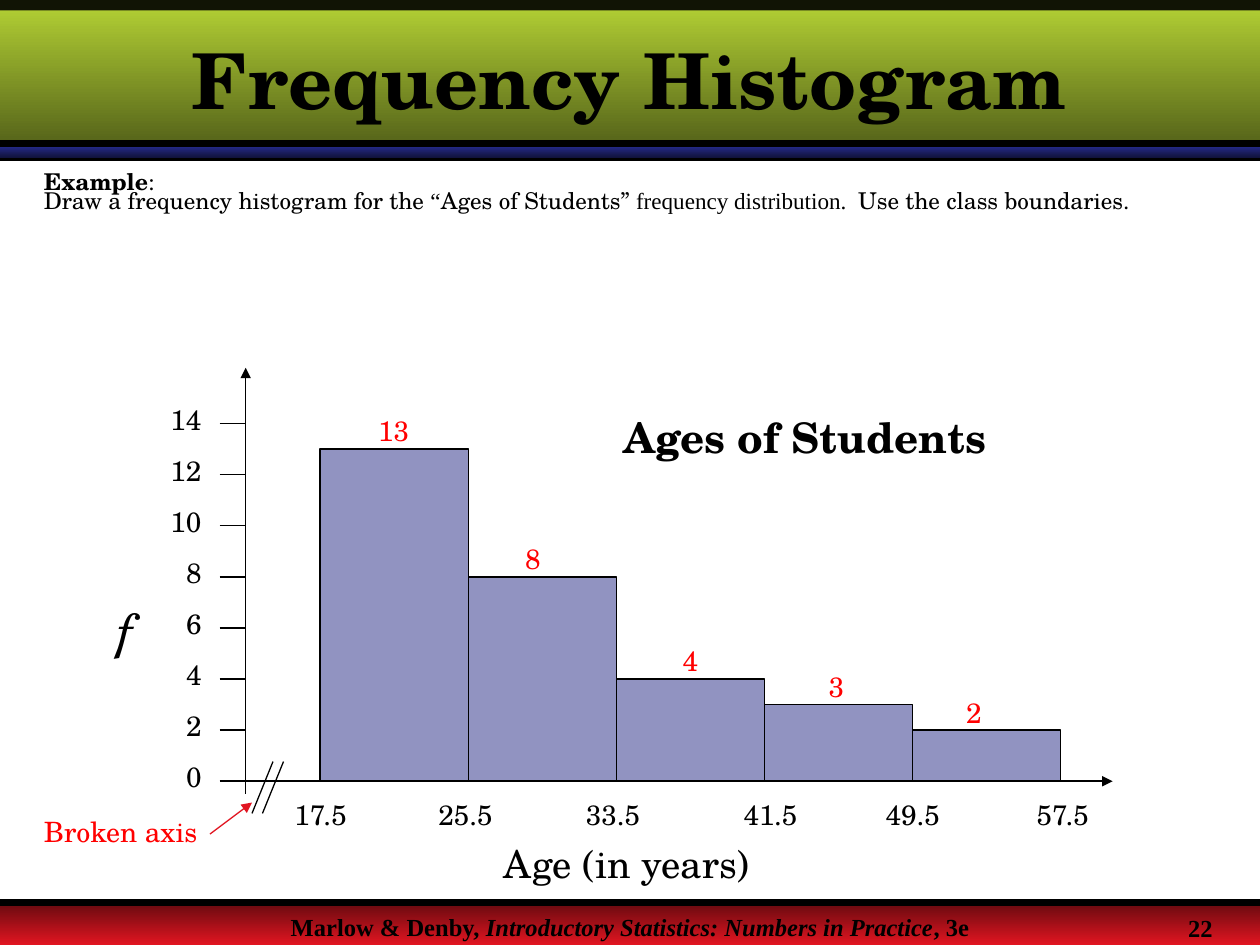
import pptx
import pptx.util
import pptx.dml.color
import pptx.enum.shapes
import pptx.enum.text
import pptx.oxml.ns
import lxml.etree

Pt = pptx.util.Pt
qn = pptx.oxml.ns.qn
ALIGN = pptx.enum.text.PP_ALIGN
ANCHOR = pptx.enum.text.MSO_ANCHOR

SERIF = "TeX Gyre Schola"
TIMES = "Times New Roman"
HUES = {
    "black": "000000",
    "red": "FF0000",
    "arrow": "E11521",
    "bar": "242985",
    "green": ("B5D335", "546219"),
    "navy": ("242985", "11133E"),
    "foot": ("680A0F", "E11521"),
}

# Plot geometry: zero line, height of one count, first bar edge, bar width
BASE, UNIT = 446.4, 14.6
LEFT, STEP = 183, 84.6
AXIS = 140.4
# Frequency and centre of its label, one pair per class
BARS = [(13, 225), (8, 304.5), (4, 394.5), (3, 478), (2, 556.5)]
# Class boundary and centre of its label
BOUNDS = [("17.5", 183.2), ("25.5", 266), ("33.5", 350.3),
          ("41.5", 440.3), ("49.5", 521.6), ("57.5", 607.3)]


def rgb(code):
    return pptx.dml.color.RGBColor.from_string(code)


def add_text(slide, text, x, y, w, h, size=16, font=SERIF, color="black",
             bold=False, italic=False, align=ALIGN.LEFT, anchor=ANCHOR.TOP,
             inset=(7.2, 3.6), wrap=True, lead=None):
    """Text is a string, or paragraphs of (string, changes) runs."""
    box = slide.shapes.add_textbox(Pt(x), Pt(y), Pt(w), Pt(h))
    frame = box.text_frame
    frame.word_wrap = wrap
    frame.vertical_anchor = anchor
    frame.margin_left = frame.margin_right = Pt(inset[0])
    frame.margin_top = frame.margin_bottom = Pt(inset[1])
    paras = [[(text, {})]] if isinstance(text, str) else text
    for num, runs in enumerate(paras):
        para = frame.add_paragraph() if num else frame.paragraphs[0]
        para.alignment = align
        if lead:
            para.line_spacing = lead
        for words, diff in runs:
            run = para.add_run()
            run.text = words
            run.font.size = Pt(size)
            run.font.name = diff.get("font", font)
            run.font.bold = diff.get("bold", bold)
            run.font.italic = diff.get("italic", italic)
            run.font.color.rgb = rgb(HUES[color])
    return box


def add_label(slide, text, mid, y, **style):
    """Plain number centred on mid."""
    dots = text.count(".")
    wide = 8.9 * (len(text) - dots) + 4.4 * dots
    add_text(slide, text, mid - wide / 2, y, wide, 19.4, inset=(0, 0),
             wrap=False, align=ALIGN.CENTER, **style)


def add_rect(slide, x, y, w, h, hue, alpha=None, edge=None):
    kind = pptx.enum.shapes.MSO_SHAPE.RECTANGLE
    rect = slide.shapes.add_shape(kind, Pt(x), Pt(y), Pt(w), Pt(h))
    rect.shadow.inherit = False
    tone = HUES[hue]
    if isinstance(tone, tuple):
        rect.fill.gradient()
        rect.fill.gradient_angle = 270
        for stop, code in zip(rect.fill.gradient_stops, tone):
            stop.color.rgb = rgb(code)
    else:
        rect.fill.solid()
        rect.fill.fore_color.rgb = rgb(tone)
    if alpha:
        node = rect.fill._xPr.find(".//" + qn("a:srgbClr"))
        lxml.etree.SubElement(node, qn("a:alpha"), val=str(alpha * 1000))
    if edge:
        rect.line.color.rgb = rgb(HUES["black"])
        rect.line.width = Pt(edge)
    else:
        rect.line.fill.background()


def add_line(slide, x1, y1, x2, y2, width=0.88, color="black", arrow=False):
    kind = pptx.enum.shapes.MSO_CONNECTOR.STRAIGHT
    line = slide.shapes.add_connector(kind, Pt(x1), Pt(y1), Pt(x2), Pt(y2))
    line.line.color.rgb = rgb(HUES[color])
    line.line.width = Pt(width)
    if arrow:
        lxml.etree.SubElement(line.line._get_or_add_ln(), qn("a:tailEnd"),
                              type="triangle")
    lxml.etree.SubElement(line._element.spPr, qn("a:effectLst"))


def draw_frame(slide):
    # Footer band, title band and the rules between them
    add_rect(slide, 0, 516, 720, 24, "foot")
    add_line(slide, 0, 90, 720, 90, width=4)
    add_text(slide, [[("Marlow & Denby, ", {}),
                      ("Introductory Statistics: Numbers in Practice",
                       {"italic": True}),
                      (", 3e", {})]],
             0, 517.5, 720, 14.4, size=14, font=TIMES, bold=True,
             align=ALIGN.CENTER)
    add_rect(slide, 0, 84, 720, 6, "navy")
    add_rect(slide, 0, 0, 720, 84, "green")
    add_line(slide, 0, 516, 720, 516, width=4)
    add_rect(slide, 0, 0, 720, 6, "black", alpha=90)
    add_line(slide, 0, 82, 720, 82, width=4)
    add_text(slide, "22", 671.8, 518.4, 45, 21.6, size=14, font=TIMES,
             bold=True)


def draw_head(slide):
    add_text(slide, "Frequency Histogram", 0, 6, 720, 78, size=44, bold=True,
             align=ALIGN.CENTER, anchor=ANCHOR.MIDDLE)
    times = {"font": TIMES}
    add_text(slide, [[("Example", {"bold": True}), (":", {})],
                     [("Draw a frequency histogram for the ", {}),
                      ("“", times), ("Ages of Students” ", {}),
                      ("frequency distribution.  ", times),
                      ("Use the class boundaries.", {})]],
             18, 96.5, 684, 36, size=13.2, lead=0.7)


def draw_bars(slide):
    for num, (count, mid) in enumerate(BARS):
        tall = count * UNIT
        add_rect(slide, LEFT + num * STEP, BASE - tall, STEP, tall, "bar",
                 alpha=50, edge=0.88)
        add_label(slide, str(count), mid, BASE - tall - 20, color="red")


def draw_axes(slide):
    # Vertical scale
    for count in range(0, 15, 2):
        y = BASE - count * UNIT
        text = str(count)
        add_label(slide, text, 115.2 - 4.45 * len(text), y - 12.2)
        add_line(slide, 125.5, y, AXIS, y)
    add_line(slide, AXIS, 453.6, AXIS, 210.2, arrow=True)
    add_text(slide, "f", 59.8, 339.8, 36, 41, size=28, italic=True)
    # Horizontal scale
    add_line(slide, 135.4, BASE, 635.8, BASE, arrow=True)
    for text, mid in BOUNDS:
        add_label(slide, text, mid, 455.8)
    add_text(slide, "Age (in years)", 280.8, 476.6, 154.8, 33.8, size=22,
             wrap=False, align=ALIGN.CENTER)
    # Break marks and their callout
    for x in (144, 150):
        add_line(slide, x + 12, 435.2, x, 464.8, width=0.75)
    add_text(slide, "Broken axis", 18, 462.2, 120, 26.6, color="red")
    add_line(slide, 120, 476.6, 144, 458.6, width=0.75, color="arrow",
             arrow=True)


def main():
    deck = pptx.Presentation()
    deck.slide_width, deck.slide_height = Pt(720), Pt(540)
    slide = deck.slides.add_slide(deck.slide_layouts[6])
    draw_frame(slide)
    draw_head(slide)
    draw_bars(slide)
    add_text(slide, "Ages of Students", 349, 231.8, 250.6, 36, size=24,
             bold=True)
    draw_axes(slide)
    deck.save("out.pptx")


if __name__ == "__main__":
    main()
